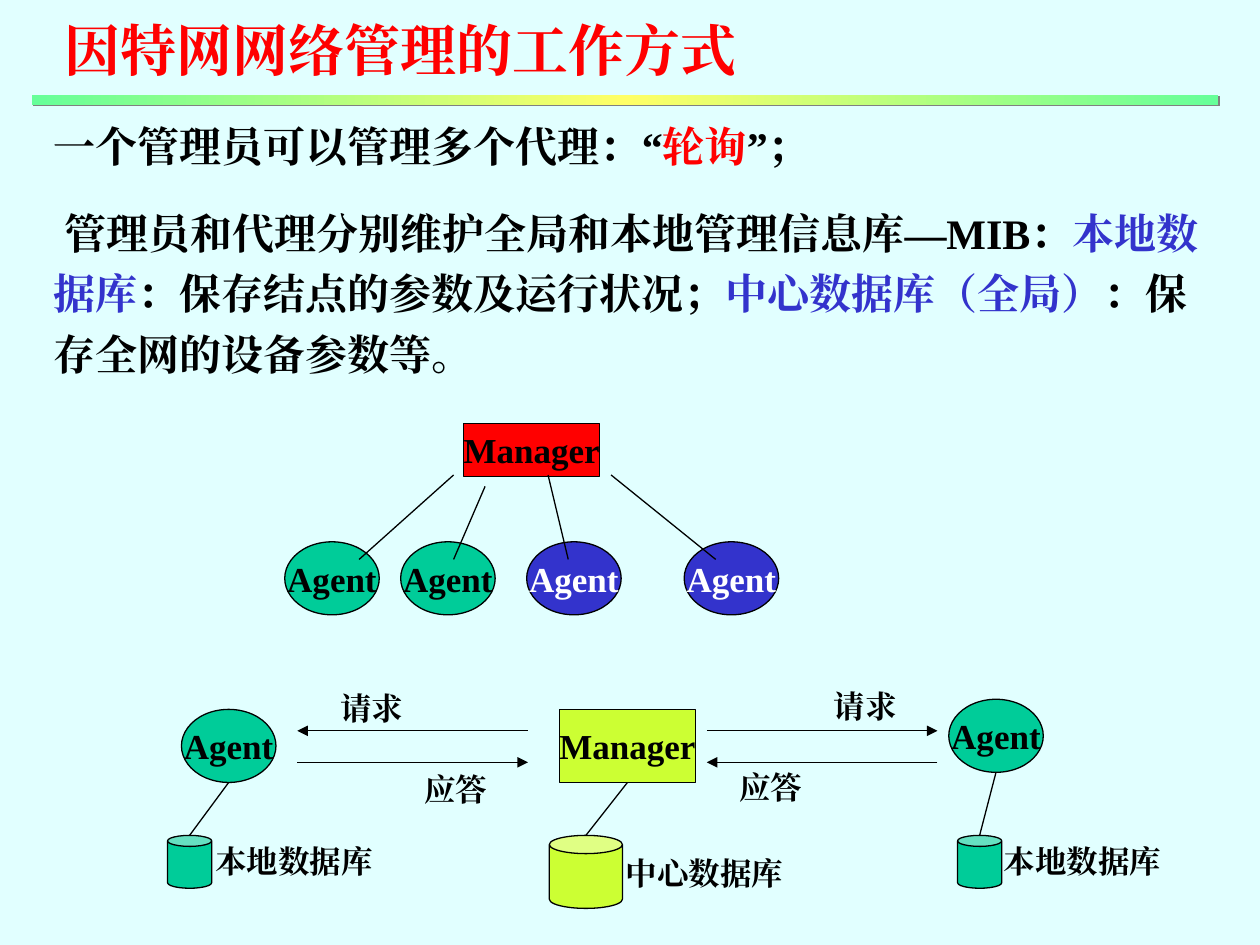
from pptx import Presentation
from pptx.dml.color import RGBColor
from pptx.enum.shapes import MSO_CONNECTOR, MSO_SHAPE as Preset
from pptx.enum.text import MSO_ANCHOR as Anchor, MSO_AUTO_SIZE as AutoSize, PP_ALIGN as Align
from pptx.oxml import parse_xml
from pptx.oxml.ns import nsdecls
from pptx.util import Inches, Pt

THEME = {
    "font": "Times New Roman",
    "ground": "E1FFFF", "ink": "000000", "white": "FFFFFF", "red": "FF0000",
    "blue": "3333CC", "green": "00CC99", "lime": "CCFF33", "shade": "808080",
    "bar": [(0, "66FF99"), (50, "FFFF66"), (100, "66FF99")],
    "title": 32, "body": 24, "node": 20, "label": 18, "line": 0.75,
}

TITLE = "因特网网络管理的工作方式"
BODY = [
    [("一个管理员可以管理多个代理：“", "ink"), ("轮询", "red"), ("”；", "ink")],
    [(" 管理员和代理分别维护全局和本地管理信息库—MIB：", "ink"), ("本地数据库", "blue"),
     ("：保存结点的参数及运行状况；", "ink"), ("中心数据库（全局）", "blue"),
     ("：保存全网的设备参数等。", "ink")],
]

MANAGER_WIDTH, AGENT_WIDTH, NODE_HEIGHT = 1.08, 0.75, 0.58
POLLED_AGENTS = [
    (2.26, "green", "ink", (3.6, 3.77), (2.85, 4.44)),
    (3.18, "green", "ink", (3.85, 3.86), (3.6, 4.44)),
    (4.18, "blue", "white", (4.35, 3.77), (4.51, 4.44)),
    (5.43, "blue", "white", (4.85, 3.77), (5.68, 4.44)),
]

STORE_TOP = 6.63
STATIONS = [
    ("Manager", 4.44, 5.63, "lime", (4.36, 0.58, 0.58), "中心数据库", (4.87, 6.73)),
    ("Agent", 7.53, 5.55, "green", (7.6, 0.35, 0.42), "本地数据库", (7.87, 6.63)),
    ("Agent", 1.44, 5.63, "green", (1.33, 0.35, 0.42), "本地数据库", (1.61, 6.63)),
]
REQUEST_Y, REPLY_Y = 5.8, 6.05
MESSAGES = [
    ("请求", (2.6, 5.42), 4.19, 2.36, REQUEST_Y),
    ("应答", (3.27, 6.06), 2.36, 4.19, REPLY_Y),
    ("请求", (6.52, 5.4), 5.61, 7.44, REQUEST_Y),
    ("应答", (5.77, 6.05), 7.44, 5.61, REPLY_Y),
]


def colour(name):
    return RGBColor.from_string(THEME[name])


def apply(target, values):
    for attribute, value in values.items():
        setattr(target, attribute, value)


def box(left, top, width, height):
    return [Inches(value) for value in (left, top, width, height)]


def write(paragraph, runs, size):
    for words, ink in runs:
        run = paragraph.add_run()
        run.text = words
        apply(run.font, {"size": Pt(THEME[size]), "bold": True, "name": THEME["font"]})
        run.font.color.rgb = colour(ink)
        run.font._element.find("{*}latin").addnext(
            parse_xml(f'<a:ea {nsdecls("a")} typeface="{THEME["font"]}"/>'))


def outline(line):
    line.color.rgb = colour("ink")
    line.width = Pt(THEME["line"])


def solid(shapes, preset, place, fill):
    part = shapes.add_shape(preset, *box(*place))
    part.shadow.inherit = False
    part.fill.solid()
    part.fill.fore_color.rgb = colour(fill)
    outline(part.line)
    return part


def node(shapes, name, place, fill, ink="ink"):
    preset = Preset.RECTANGLE if name == "Manager" else Preset.OVAL
    frame = solid(shapes, preset, place, fill).text_frame
    apply(frame, {"word_wrap": False, "vertical_anchor": Anchor.MIDDLE,
                  "margin_left": Inches(0.1), "margin_right": Inches(0.1)})
    frame.paragraphs[0].alignment = Align.CENTER
    write(frame.paragraphs[0], [(name, ink)], "node")


def label(shapes, words, corner):
    width = 0.25 * len(words) + 0.25
    frame = shapes.add_textbox(*box(*corner, width, 0.4)).text_frame
    apply(frame, {"word_wrap": False, "auto_size": AutoSize.SHAPE_TO_FIT_TEXT})
    write(frame.paragraphs[0], [(words, "ink")], "label")


def link(shapes, start, end, arrow=False):
    ends = [Inches(value) for value in (*start, *end)]
    connector = shapes.add_connector(MSO_CONNECTOR.STRAIGHT, *ends)
    outline(connector.line)
    if arrow:
        connector.line._get_or_add_ln().append(
            parse_xml(f'<a:tailEnd {nsdecls("a")} type="triangle"/>'))
    connector._element.spPr.append(parse_xml(f'<a:effectLst {nsdecls("a")}/>'))


def add_title(slide):
    title = slide.shapes.title
    apply(title, dict(zip(("left", "top", "width", "height"), box(0.41, 0.07, 5.54, 0.64))))
    apply(title.text_frame, {"word_wrap": False, "vertical_anchor": Anchor.TOP,
                             "auto_size": AutoSize.NONE})
    heading = title.text_frame.paragraphs[0]
    heading.alignment = Align.LEFT
    write(heading, [(TITLE, "red")], "title")


def add_body(slide):
    frame = slide.shapes.add_textbox(*box(0.33, 0.83, 9.35, 2.23)).text_frame
    frame.word_wrap = True
    for index, runs in enumerate(BODY):
        paragraph = frame.add_paragraph() if index else frame.paragraphs[0]
        apply(paragraph, {"line_spacing": 1.2, "space_before": Pt(15 if index else 0)})
        write(paragraph, runs, "body")


def add_exchange(slide):
    shapes = slide.shapes.add_group_shape().shapes
    for name, left, top, fill, (store_left, store_width, store_height), words, corner in STATIONS:
        width = MANAGER_WIDTH if name == "Manager" else AGENT_WIDTH
        node(shapes, name, (left, top, width, NODE_HEIGHT), fill)
        solid(shapes, Preset.CAN, (store_left, STORE_TOP, store_width, store_height), fill)
        label(shapes, words, corner)
        link(shapes, (store_left + store_width / 2, STORE_TOP),
             (left + width / 2, top + NODE_HEIGHT))
    for words, corner, start, end, y in MESSAGES:
        link(shapes, (start, y), (end, y), arrow=True)
        label(shapes, words, corner)


def add_bar(slide):
    bar = slide.shapes.add_shape(Preset.RECTANGLE, *box(0.25, 0.75, 9.42, 0.08))
    bar.line.fill.background()
    bar.shadow.inherit = False
    stops = "".join(f'<a:gs pos="{at * 1000}"><a:srgbClr val="{shade}"/></a:gs>'
                    for at, shade in THEME["bar"])
    properties = bar._element.spPr
    properties.find("{*}prstGeom").addnext(parse_xml(
        f'<a:gradFill {nsdecls("a")} rotWithShape="1"><a:gsLst>{stops}</a:gsLst>'
        '<a:lin ang="0" scaled="1"/></a:gradFill>'))
    properties.find("{*}effectLst").append(parse_xml(
        f'<a:outerShdw {nsdecls("a")} dist="{Pt(1.4)}" dir="2700000" algn="ctr" '
        f'rotWithShape="0"><a:srgbClr val="{THEME["shade"]}"/></a:outerShdw>'))


def add_polling(slide):
    shapes = slide.shapes.add_group_shape().shapes
    node(shapes, "Manager", (3.68, 3.36, MANAGER_WIDTH, 0.42), "red")
    for left, fill, ink, start, end in POLLED_AGENTS:
        node(shapes, "Agent", (left, 4.3, AGENT_WIDTH, NODE_HEIGHT), fill, ink)
        link(shapes, start, end)


def main():
    deck = Presentation()
    apply(deck, {"slide_width": Inches(10), "slide_height": Inches(7.5)})
    slide = deck.slides.add_slide(deck.slide_layouts[5])
    slide.background.fill.solid()
    slide.background.fill.fore_color.rgb = colour("ground")
    for add_part in (add_title, add_body, add_exchange, add_bar, add_polling):
        add_part(slide)
    deck.save("out.pptx")


if __name__ == "__main__":
    main()
